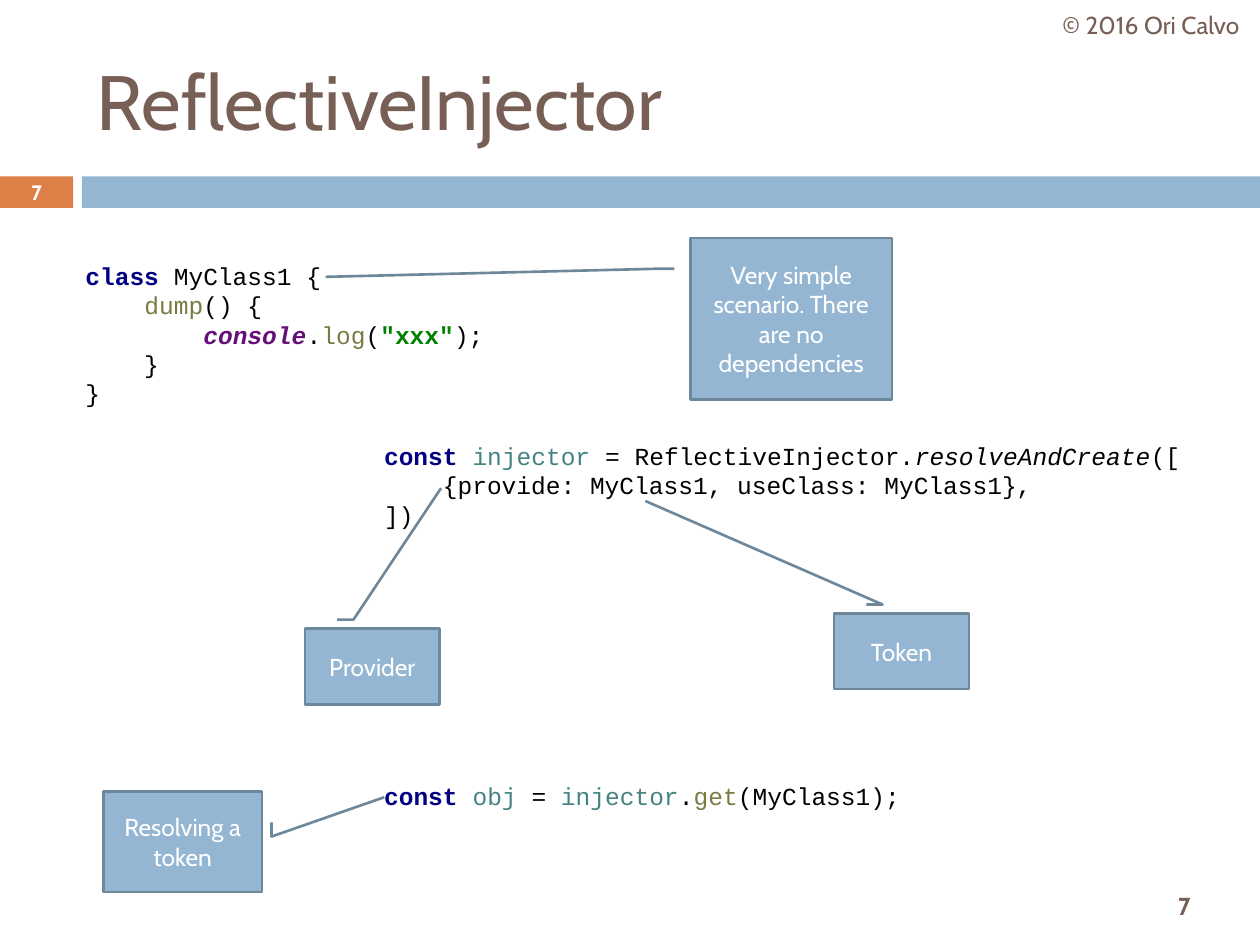
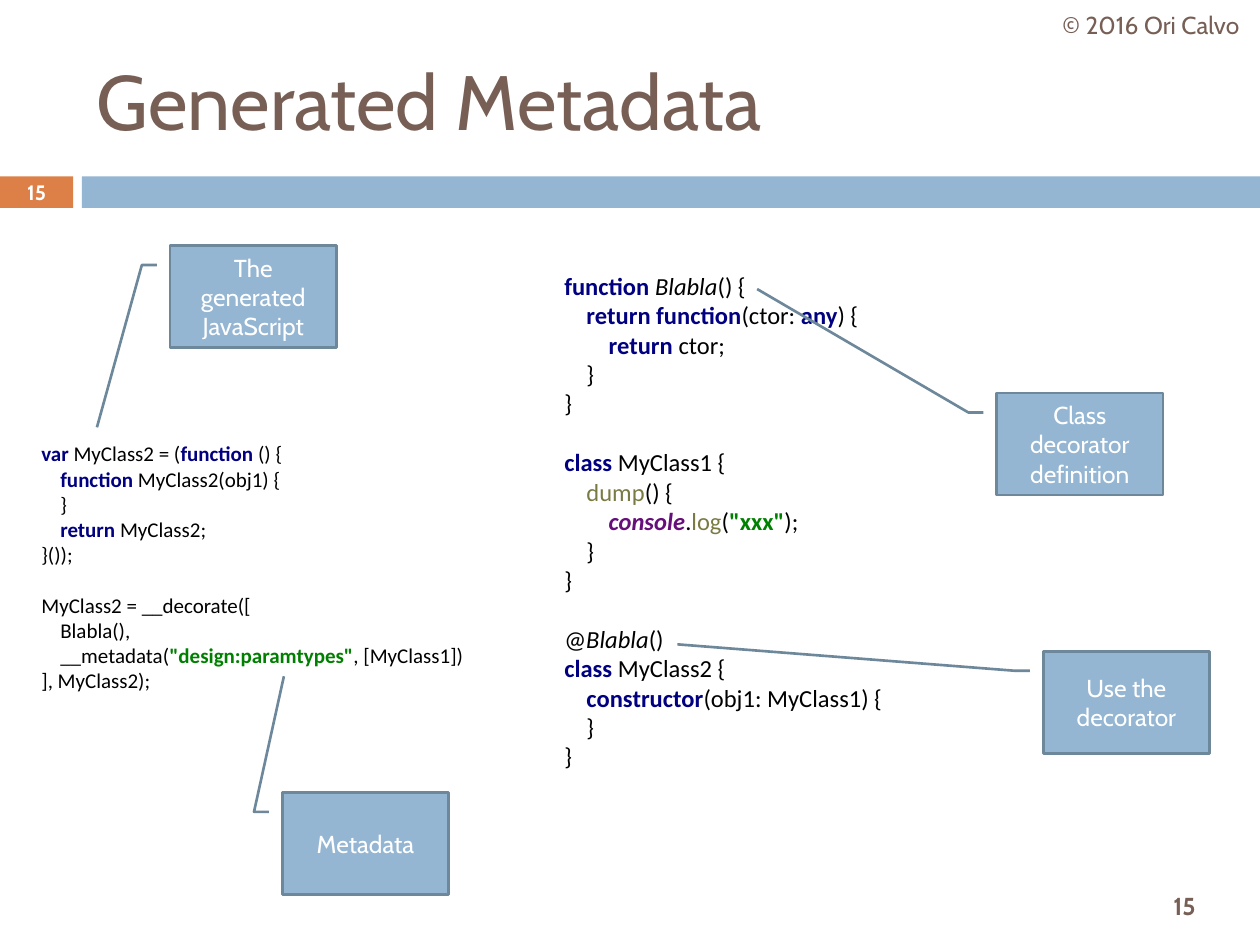
from typing import NamedTuple

from pptx import Presentation
from pptx.dml.color import RGBColor
from pptx.enum.shapes import MSO_SHAPE
from pptx.enum.text import MSO_ANCHOR, PP_ALIGN
from pptx.util import Inches, Pt

RECTANGLE = MSO_SHAPE.RECTANGLE
CALLOUT = MSO_SHAPE.LINE_CALLOUT_2
TOP, MIDDLE = MSO_ANCHOR.TOP, MSO_ANCHOR.MIDDLE
LEFT, CENTER = PP_ALIGN.LEFT, PP_ALIGN.CENTER

COLUMNS, ROWS = 100, 75
SLIDE_WIDTH, SLIDE_HEIGHT = Inches(10), Inches(7.5)
LINE_FACTOR = 1.2
HEADING_FONT = "Cabin"

COLORS = {
    "brown": "775F55",
    "orange": "DD8047",
    "blue": "94B6D2",
    "slate": "6D879B",
    "white": "FFFFFF",
    "black": "000000",
    "navy": "000080",
    "olive": "7A7A43",
    "purple": "660E7A",
    "green": "008000",
    "teal": "458383",
}


class Area(NamedTuple):
    column: float
    row: float
    columns: float
    rows: float


class Style(NamedTuple):
    color: str
    bold: bool = False
    italic: bool = False


class Span(NamedTuple):
    text: str
    style: Style


class Listing(NamedTuple):
    area: Area
    font: str
    size: int
    blocks: list[list[Span]]


class Callout(NamedTuple):
    label: str
    area: Area
    elbow: tuple[float, ...]
    tip: tuple[float, float]


class Page(NamedTuple):
    number: int
    title: str
    listings: list[Listing]
    callouts: list[Callout]


PLAIN = Style("black")
KEYWORD = Style("navy", bold=True)
METHOD = Style("olive")
GLOBAL = Style("purple", bold=True, italic=True)
STRING = Style("green", bold=True)
VARIABLE = Style("teal")
ITALIC = Style("black", italic=True)

LEFT_ELBOW = (0.19, -0.08, 0.19, -0.17)
TOP_ELBOW = (-0.12, 0.24, -0.12, 0.36)
RIGHT_ELBOW = (0.31, 1.06, 0.45, 1.06)

TITLE_AREA = Area(6.7, 2.5, 89.2, 10.8)
COPYRIGHT_AREA = Area(82.7, 0, 17.3, 4)
BADGE_AREA = Area(0, 14, 5.8, 2.5)
BAND_AREA = Area(6.5, 14, 93.5, 2.5)
FOOTER_AREA = Area(89.4, 69.8, 9.2, 4.2)

DUMP_CLASS = [
    Span("class ", KEYWORD),
    Span("MyClass1 {\n    ", PLAIN),
    Span("dump", METHOD),
    Span("() {\n        ", PLAIN),
    Span("console", GLOBAL),
    Span(".", PLAIN),
    Span("log", METHOD),
    Span("(", PLAIN),
    Span('"xxx"', STRING),
    Span(");\n    }\n}", PLAIN),
]

CREATE_INJECTOR = [
    Span("const ", KEYWORD),
    Span("injector ", VARIABLE),
    Span("= ReflectiveInjector.", PLAIN),
    Span("resolveAndCreate", ITALIC),
    Span("([\n    {provide: MyClass1, useClass: MyClass1},\n])", PLAIN),
]

GET_OBJECT = [
    Span("const ", KEYWORD),
    Span("obj ", VARIABLE),
    Span("= ", PLAIN),
    Span("injector", VARIABLE),
    Span(".", PLAIN),
    Span("get", METHOD),
    Span("(MyClass1);", PLAIN),
]

DECORATOR = [
    Span("function ", KEYWORD),
    Span("Blabla", ITALIC),
    Span("() {\n    ", PLAIN),
    Span("return function", KEYWORD),
    Span("(ctor: ", PLAIN),
    Span("any", KEYWORD),
    Span(") {\n        ", PLAIN),
    Span("return ", KEYWORD),
    Span("ctor;\n    }\n}", PLAIN),
]

DECORATED_CLASS = [
    Span("@", PLAIN),
    Span("Blabla", ITALIC),
    Span("()\n", PLAIN),
    Span("class ", KEYWORD),
    Span("MyClass2 {\n    ", PLAIN),
    Span("constructor", KEYWORD),
    Span("(obj1: MyClass1) {\n    }\n}", PLAIN),
]

GENERATED_CLASS = [
    Span("var ", KEYWORD),
    Span("MyClass2 = (", PLAIN),
    Span("function ", KEYWORD),
    Span("() {\n    ", PLAIN),
    Span("function ", KEYWORD),
    Span("MyClass2(obj1) {\n    }\n    ", PLAIN),
    Span("return ", KEYWORD),
    Span("MyClass2;\n}());", PLAIN),
]

DECORATE_CALL = [
    Span("MyClass2 = __decorate([\n    Blabla(),\n    __metadata(", PLAIN),
    Span('"design:paramtypes"', STRING),
    Span(", [MyClass1])\n], MyClass2);", PLAIN),
]

PAGES = [
    Page(
        7,
        "ReflectiveInjector",
        [
            Listing(Area(5.8, 20.2, 50, 12.8), "Courier New", 14, [DUMP_CLASS]),
            Listing(Area(29.5, 34.5, 65.4, 8.1), "Courier New", 14, [CREATE_INJECTOR]),
            Listing(Area(29.5, 61.5, 43.1, 3.4), "Courier New", 14, [GET_OBJECT]),
        ],
        [
            Callout("Token", Area(66.2, 48.7, 10.7, 6), TOP_ELBOW, (-1.49, -1.4)),
            Callout("Very simple scenario. There are no dependencies",
                    Area(54.8, 18.9, 16, 12.8), LEFT_ELBOW, (0.24, -1.81)),
            Callout("Resolving a token", Area(8.2, 62.8, 12.6, 8), RIGHT_ELBOW, (0.06, 1.77)),
            Callout("Provider", Area(24.2, 49.9, 10.7, 6), TOP_ELBOW, (-1.86, 1.01)),
        ],
    ),
    Page(
        15,
        "Generated Metadata",
        [
            Listing(Area(43.8, 21, 27.9, 41.1), "Calibri", 14,
                    [DECORATOR, DUMP_CLASS, DECORATED_CLASS]),
            Listing(Area(2.3, 34.5, 36.5, 21.2), "Calibri", 12,
                    [GENERATED_CLASS, DECORATE_CALL]),
        ],
        [
            Callout("Class decorator definition", Area(79.1, 31.2, 13.2, 8.1),
                    LEFT_ELBOW, (-1.02, -1.44)),
            Callout("Use the decorator", Area(82.8, 51.7, 13.2, 8.1),
                    LEFT_ELBOW, (-0.07, -2.2)),
            Callout("The generated JavaScript", Area(13.5, 19.5, 13.2, 8.1),
                    LEFT_ELBOW, (1.78, -0.44)),
            Callout("Metadata", Area(22.4, 62.9, 13.2, 8.1), LEFT_ELBOW, (-1.14, 0.01)),
        ],
    ),
]


def place(area: Area) -> tuple[int, int, int, int]:
    return (
        round(area.column * SLIDE_WIDTH / COLUMNS),
        round(area.row * SLIDE_HEIGHT / ROWS),
        round(area.columns * SLIDE_WIDTH / COLUMNS),
        round(area.rows * SLIDE_HEIGHT / ROWS),
    )


def rgb(name: str) -> RGBColor:
    return RGBColor.from_string(COLORS[name])


def add_span(para, text: str, style: Style, font: str, size: float) -> None:
    run = para.add_run()
    run.text = text
    run.font.name = font
    run.font.size = Pt(size)
    run.font.bold = style.bold
    run.font.italic = style.italic
    run.font.color.rgb = rgb(style.color)


def write_label(box, text: str, style: Style, size: float, align=CENTER) -> None:
    frame = box.text_frame
    frame.word_wrap = True
    frame.vertical_anchor = MIDDLE
    para = frame.paragraphs[0]
    para.alignment = align
    add_span(para, text, style, HEADING_FONT, size)


def add_label(slide, area: Area, text: str, style: Style, size: float, align=CENTER) -> None:
    write_label(slide.shapes.add_textbox(*place(area)), text, style, size, align)


def add_block(slide, kind, area: Area, fill: str):
    box = slide.shapes.add_shape(kind, *place(area))
    box.shadow.inherit = False
    box.fill.solid()
    box.fill.fore_color.rgb = rgb(fill)
    box.line.fill.background()
    return box


def add_listing(slide, listing: Listing) -> None:
    frame = slide.shapes.add_textbox(*place(listing.area)).text_frame
    frame.word_wrap = True
    frame.vertical_anchor = TOP
    line_height = Pt(listing.size * LINE_FACTOR)
    for index, block in enumerate(listing.blocks):
        para = frame.add_paragraph() if index else frame.paragraphs[0]
        para.alignment = LEFT
        para.line_spacing = line_height
        if index:
            para.space_before = line_height
        for span in block:
            for line_index, line in enumerate(span.text.split("\n")):
                if line_index:
                    para.add_line_break()
                if line:
                    add_span(para, line, span.style, listing.font, listing.size)


def add_callout(slide, callout: Callout) -> None:
    box = add_block(slide, CALLOUT, callout.area, "blue")
    for index, value in enumerate(callout.elbow + callout.tip):
        box.adjustments[index] = value
    box.line.color.rgb = rgb("slate")
    box.line.width = Pt(1.5)
    write_label(box, callout.label, Style("white"), 14)


def add_frame(slide, page: Page) -> None:
    badge = add_block(slide, RECTANGLE, BADGE_AREA, "orange")
    write_label(badge, str(page.number), Style("white", bold=True), 11.9)
    add_block(slide, RECTANGLE, BAND_AREA, "blue")
    add_label(slide, FOOTER_AREA, str(page.number), Style("brown", bold=True), 14)
    add_label(slide, TITLE_AREA, page.title, Style("brown"), 44, LEFT)
    add_label(slide, COPYRIGHT_AREA, "© 2016 Ori Calvo", Style("brown"), 14)


def main() -> None:
    deck = Presentation()
    deck.slide_width, deck.slide_height = SLIDE_WIDTH, SLIDE_HEIGHT
    for page in PAGES:
        slide = deck.slides.add_slide(deck.slide_layouts[6])
        add_frame(slide, page)
        for listing in page.listings:
            add_listing(slide, listing)
        for callout in page.callouts:
            add_callout(slide, callout)
    deck.save("out.pptx")


if __name__ == "__main__":
    main()
